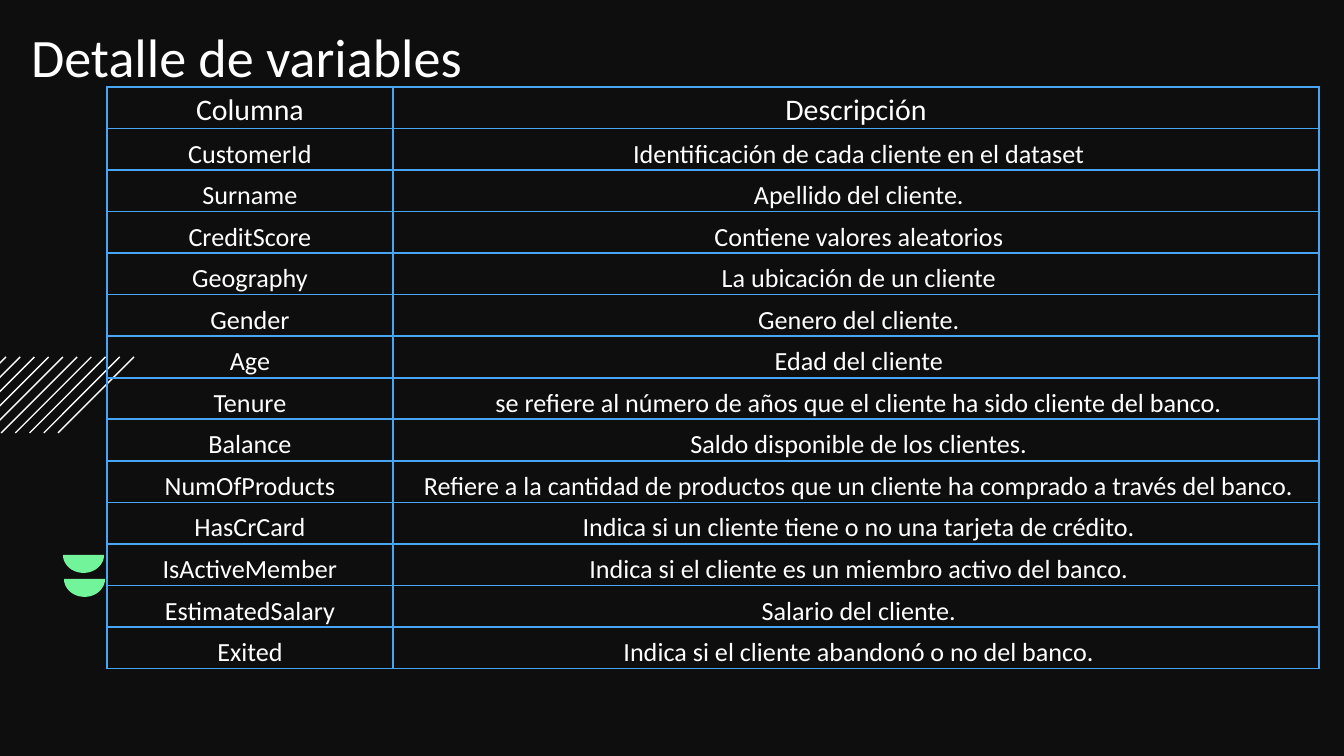
import math

from lxml import etree
from pptx import Presentation, util as u
from pptx.dml import color
from pptx.enum import shapes, text
from pptx.oxml import ns

SCALE = 9144000 / 1344  # EMU per px
FONT = "Calibri"
BACKGROUND, WHITE, GREEN, BLUE = "0E0E0E", "FFFFFF", "72F49A", "47A5F3"
NBSP = " "

VARIABLES = [
    ("CustomerId", "Identificación de cada cliente en el dataset"),
    ("Surname", "Apellido del cliente."),
    ("CreditScore", "Contiene valores aleatorios"),
    ("Geography", "La ubicación de un cliente"),
    ("Gender", "Genero del cliente."),
    ("Age", "Edad del cliente"),
    ("Tenure", "se refiere al número de años que el cliente ha sido cliente del banco."),
    ("Balance", "Saldo disponible de los clientes."),
    ("NumOfProducts", "Refiere a la cantidad de productos que un cliente ha comprado a través del banco."),
    ("HasCrCard", "Indica si un cliente tiene o no una tarjeta de crédito."),
    ("IsActiveMember", "Indica si el cliente es un miembro activo del banco."),
    ("EstimatedSalary", "Salario del cliente."),
    ("Exited", "Indica si el cliente abandonó o no del banco."),
]


def px(length):
    return u.Emu(round(length * SCALE))


def rgb(code):
    return color.RGBColor.from_string(code)


def style(paragraph, size):
    paragraph.font.name = FONT
    paragraph.font.size = u.Pt(size)
    paragraph.font.color.rgb = rgb(WHITE)


def add_half_disc(slide, left, top, width, height):
    """Draw the lower half of an ellipse, flat side up."""
    radius, steps = width / 2, 40
    arc = [
        (px(left + radius + radius * math.cos(math.pi * step / steps)),
         px(top + height * math.sin(math.pi * step / steps)))
        for step in range(steps + 1)
    ]
    builder = slide.shapes.build_freeform(*arc[0])
    builder.add_line_segments(arc[1:], close=True)
    disc = builder.convert_to_shape()
    disc.shadow.inherit = False
    disc.fill.solid()
    disc.fill.fore_color.rgb = rgb(GREEN)
    disc.line.fill.background()


def add_stripes(slide, left, top, width, height, count=10):
    """Draw evenly spaced lines, each leaning at 45 degrees."""
    pitch = (width - height) / (count - 1)
    for index in range(count):
        foot = left + index * pitch
        stripe = slide.shapes.add_connector(
            shapes.MSO_CONNECTOR.STRAIGHT,
            px(foot + height), px(top), px(foot), px(top + height))
        stripe.line.color.rgb = rgb(WHITE)
        stripe.line.width = u.Pt(0.75)
        etree.SubElement(stripe._element.spPr, ns.qn("a:effectLst"))


def add_title(slide, left, top, width, height):
    frame = slide.shapes.add_textbox(px(left), px(top), px(width), px(height)).text_frame
    frame.word_wrap = True
    frame.margin_top = 0
    frame.margin_left = frame.margin_right = frame.margin_bottom = px(13)
    frame.text = "Detalle de variables"
    style(frame.paragraphs[0], 29)


def add_borders(cell):
    properties = cell._tc.get_or_add_tcPr()
    for position, side in enumerate(("lnL", "lnR", "lnT", "lnB")):
        border = etree.Element(ns.qn(f"a:{side}"), w=str(u.Pt(1)))
        fill = etree.SubElement(border, ns.qn("a:solidFill"))
        etree.SubElement(fill, ns.qn("a:srgbClr"), val=BLUE)
        properties.insert(position, border)


def fill_cell(cell, wording, size):
    cell.fill.background()
    cell.vertical_anchor = text.MSO_ANCHOR.BOTTOM
    cell.margin_left = cell.margin_right = cell.margin_top = px(1)
    cell.margin_bottom = 0
    cell.text = wording
    paragraph = cell.text_frame.paragraphs[0]
    paragraph.alignment = text.PP_ALIGN.CENTER
    style(paragraph, size)
    add_borders(cell)


def add_variable_table(slide, left, top, width, height, name_width=286):
    rows = [("Columna", "Descripción")]
    rows += [(name, NBSP + description) for name, description in VARIABLES]
    table = slide.shapes.add_table(
        len(rows), 2, px(left), px(top), px(width), px(height)).table
    table.first_row = table.horz_banding = False
    table.columns[0].width = px(name_width)
    table.columns[1].width = px(width - name_width)
    for index, row in enumerate(rows):
        table.rows[index].height = px(height / len(rows))
        for column, wording in enumerate(row):
            fill_cell(table.cell(index, column), wording, 14 if index else 16)


def main():
    deck = Presentation()
    deck.slide_width, deck.slide_height = px(1344), px(756)
    slide = deck.slides.add_slide(deck.slide_layouts[6])
    slide.background.fill.solid()
    slide.background.fill.fore_color.rgb = rgb(BACKGROUND)

    add_half_disc(slide, 64, 579, 41, 18)
    add_half_disc(slide, 63, 555, 41, 18)
    add_stripes(slide, -70, 357, 204, 76)
    add_title(slide, 18, 23, 1134, 62)
    add_variable_table(slide, 107, 87, 1212, 582)
    deck.save("out.pptx")


if __name__ == "__main__":
    main()
